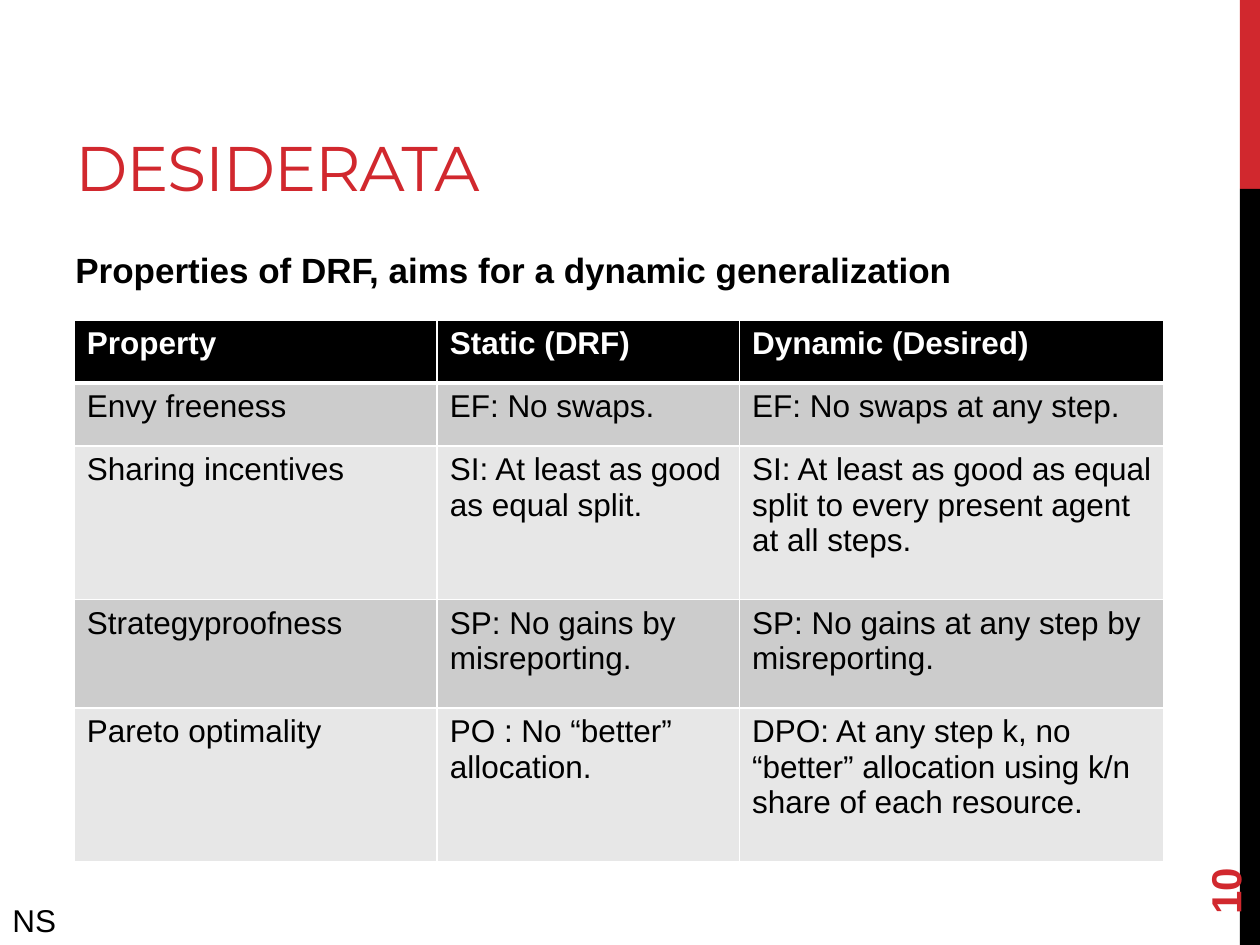
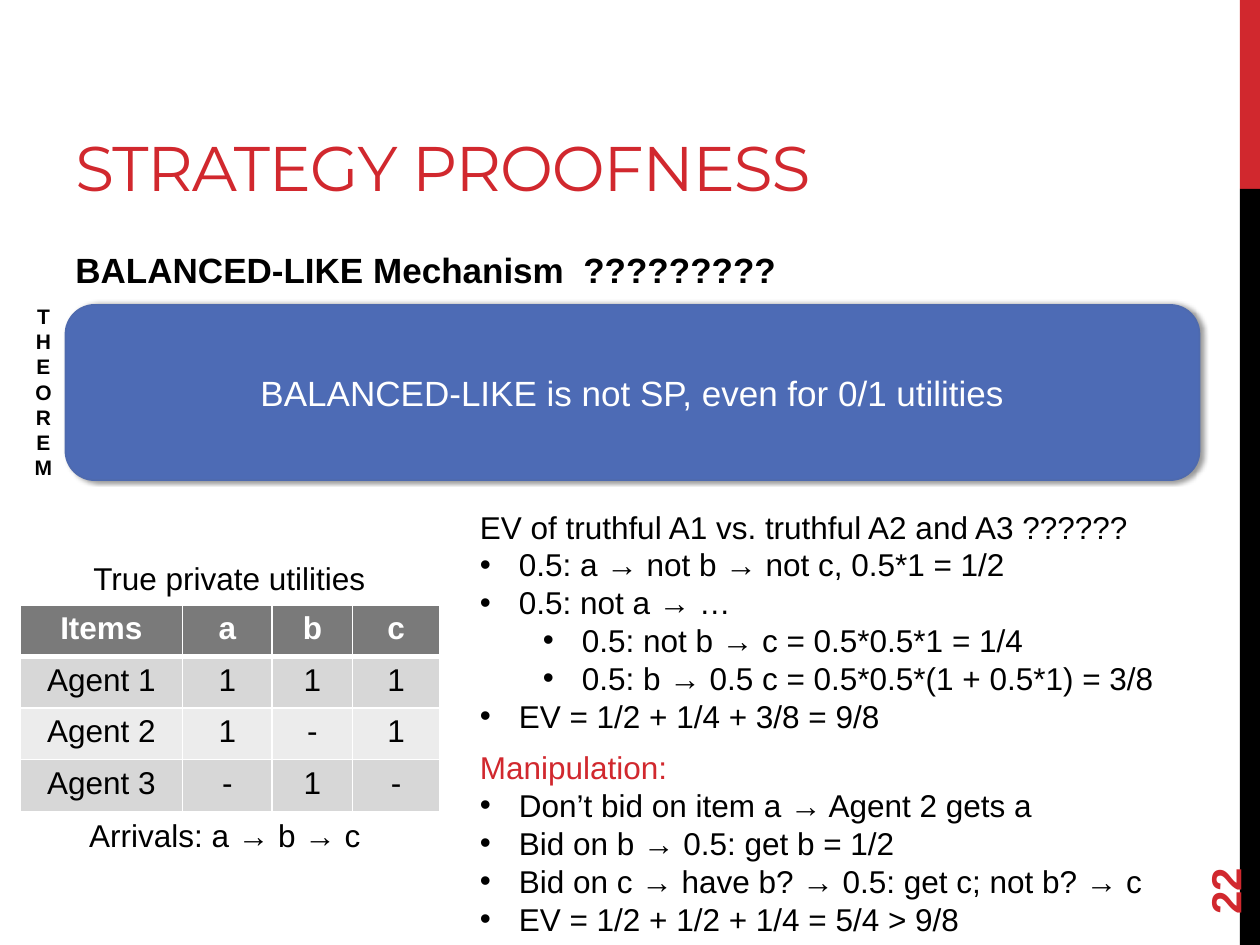
from lxml import etree
from pptx import Presentation
from pptx.dml.color import RGBColor
from pptx.enum import shapes, text
from pptx.oxml import ns
from pptx.util import Inches, Pt

# Shared style
COLOURS = {
    "red": "D1282E", "black": "000000", "white": "FFFFFF",
    "blue": "4D6BB5", "blue line": "4E6AAE",
    "grey head": "7A7A7A",
}
BODY_FONT, TITLE_FONT = "Arial", "Montserrat"
LEFT, CENTER = text.PP_ALIGN.LEFT, text.PP_ALIGN.CENTER
TOP, MIDDLE, BOTTOM = (text.MSO_ANCHOR.TOP, text.MSO_ANCHOR.MIDDLE,
                       text.MSO_ANCHOR.BOTTOM)
BULLET_INDENT, LEVEL_STEP = 0.31, 0.5

# Content: slide 1
PROPERTIES = {
    "at": (0.59, 2.54),
    "columns": [2.88, 2.4, 3.37],
    "row_heights": [0.5, 0.5, 1.22, 0.86, 1.22],
    "fills": ("000000", "CCCCCC", "E7E7E7"),
    "alignment": LEFT,
    "rows": [
        ["Property", "Static (DRF)", "Dynamic (Desired)"],
        ["Envy freeness", "EF: No swaps.", "EF: No swaps at any step."],
        ["Sharing incentives", "SI: At least as good as equal split.",
         "SI: At least as good as equal split to every present agent at all steps."],
        ["Strategyproofness", "SP: No gains by misreporting.",
         "SP: No gains at any step by misreporting."],
        ["Pareto optimality", "PO : No “better” allocation.",
         "DPO: At any step k, no “better” allocation using k/n share of each resource."],
    ],
}

# Content: slide 2
UTILITIES = {
    "at": (0.16, 4.8),
    "columns": [1.29, 0.71, 0.64, 0.69],
    "row_heights": [0.41] * 4,
    "fills": (COLOURS["grey head"], "D7D7D7", "ECECEC"),
    "alignment": CENTER,
    "rows": [
        ["Items", "a", "b", "c"],
        ["Agent 1", "1", "1", "1"],
        ["Agent 2", "1", "-", "1"],
        ["Agent 3", "-", "1", "-"],
    ],
}
THEOREM = "BALANCED-LIKE is not SP, even for 0/1 utilities"
# Each list: heading, heading colour, then (bullet level, wording)
TRUTHFUL = ("EV of truthful A1 vs. truthful A2 and A3 ??????", "black", [
    (0, "0.5: a → not b → not c, 0.5*1 = 1/2"),
    (0, "0.5: not a → …"),
    (1, "0.5: not b → c = 0.5*0.5*1 = 1/4"),
    (1, "0.5: b → 0.5 c = 0.5*0.5*(1 + 0.5*1) = 3/8"),
    (0, "EV = 1/2 + 1/4 + 3/8 = 9/8"),
])
MANIPULATION = ("Manipulation:", "red", [
    (0, "Don’t bid on item a → Agent 2 gets a"),
    (0, "Bid on b → 0.5: get b = 1/2"),
    (0, "Bid on c → have b? → 0.5: get c; not b? → c"),
    (0, "EV = 1/2 + 1/2 + 1/4 = 5/4 > 9/8"),
])


def rgb(name):
    return RGBColor.from_string(COLOURS[name])


def style(paragraph, size=18, colour="black", bold=False, font=BODY_FONT,
          alignment=LEFT):
    paragraph.alignment = alignment
    paragraph.font.size = Pt(size)
    paragraph.font.name = font
    paragraph.font.bold = bold
    paragraph.font.color.rgb = rgb(colour)


def add_text(slide, at, wording, anchor=TOP, **look):
    box = slide.shapes.add_textbox(*map(Inches, at))
    frame = box.text_frame
    frame.word_wrap = True
    frame.vertical_anchor = anchor
    paragraph = frame.paragraphs[0]
    paragraph.text = wording
    style(paragraph, **look)
    return box


def add_bullets(slide, at, heading, colour, items):
    frame = add_text(slide, at, heading, colour=colour).text_frame
    for level, wording in items:
        paragraph = frame.add_paragraph()
        paragraph.text = wording
        paragraph.level = level
        properties = paragraph._p.get_or_add_pPr()
        properties.set("marL", str(Inches(BULLET_INDENT + level * LEVEL_STEP)))
        properties.set("indent", str(-Inches(BULLET_INDENT)))
        etree.SubElement(properties, ns.qn("a:buFont")).set("typeface", BODY_FONT)
        etree.SubElement(properties, ns.qn("a:buChar")).set("char", "•")
        style(paragraph)


def set_borders(cell, row):
    properties = cell._tc.get_or_add_tcPr()
    widths = {"lnL": 1, "lnR": 1, "lnT": 3 if row == 1 else 1,
              "lnB": 3 if row == 0 else 1}
    for side, width in widths.items():
        line = etree.SubElement(properties, ns.qn(f"a:{side}"), w=str(Pt(width)))
        fill = etree.SubElement(line, ns.qn("a:solidFill"))
        etree.SubElement(fill, ns.qn("a:srgbClr"), val=COLOURS["white"])


def add_grid(slide, grid):
    rows, columns, heights = grid["rows"], grid["columns"], grid["row_heights"]
    size = (sum(columns), sum(heights))
    table = slide.shapes.add_table(len(rows), len(columns),
                                   *map(Inches, grid["at"] + size)).table
    for column, width in zip(table.columns, columns):
        column.width = Inches(width)
    head, odd, even = grid["fills"]
    for r, row in enumerate(rows):
        table.rows[r].height = Inches(heights[r])
        fill = head if r == 0 else odd if r % 2 else even
        for c, wording in enumerate(row):
            cell = table.cell(r, c)
            set_borders(cell, r)
            cell.fill.solid()
            cell.fill.fore_color.rgb = RGBColor.from_string(fill)
            paragraph = cell.text_frame.paragraphs[0]
            paragraph.text = wording
            style(paragraph, colour="black" if r else "white", bold=r == 0,
                  alignment=grid["alignment"])


def add_box(slide, kind, at, colour):
    shape = slide.shapes.add_shape(kind, *map(Inches, at))
    shape.shadow.inherit = False
    shape.fill.solid()
    shape.fill.fore_color.rgb = rgb(colour)
    shape.line.fill.background()
    return shape


def add_theorem(slide, wording):
    box = add_box(slide, shapes.MSO_SHAPE.ROUNDED_RECTANGLE,
                  (0.52, 2.42, 9, 1.39), "blue")
    box.line.color.rgb = rgb("blue line")
    box.line.width = Pt(1)
    # Soft shadow to the right
    effects = box._element.spPr.find(ns.qn("a:effectLst"))
    shadow = etree.SubElement(effects, ns.qn("a:outerShdw"), blurRad=str(Pt(3.1)),
                              dist=str(Pt(1.8)), dir="0", rotWithShape="0")
    colour = etree.SubElement(shadow, ns.qn("a:srgbClr"), val=COLOURS["black"])
    etree.SubElement(colour, ns.qn("a:alpha"), val="40000")
    box.text_frame.word_wrap = True
    box.text_frame.vertical_anchor = MIDDLE
    paragraph = box.text_frame.paragraphs[0]
    paragraph.text = wording
    style(paragraph, size=20, colour="white", alignment=CENTER)
    # The narrow box stacks the letters
    add_text(slide, (0.16, 2.36, 0.37, 1.51), "THEOREM", size=12, bold=True,
             alignment=CENTER)


def add_base_slide(presentation, title, subtitle, number):
    slide = presentation.slides.add_slide(presentation.slide_layouts[6])
    for top, height, colour in ((0, 1.5, "red"), (1.5, 6, "black")):
        add_box(slide, shapes.MSO_SHAPE.RECTANGLE, (9.84, top, 0.16, height), colour)
    heading = add_text(slide, (0.5, 0.17, 8.33, 1.5), title, anchor=BOTTOM,
                       size=36, colour="red", font=TITLE_FONT)
    run = heading.text_frame.paragraphs[0].runs[0]
    run._r.get_or_add_rPr().set("spc", "-60")
    add_text(slide, (0.5, 1.92, 8.33, 0.45), subtitle, size=20, bold=True)
    page = add_text(slide, (9, 6.44, 1.44, 0.4), number, anchor=MIDDLE, size=24,
                    colour="red", bold=True)
    page.rotation = 270
    return slide


def main():
    presentation = Presentation()
    presentation.slide_width, presentation.slide_height = Inches(10), Inches(7.5)

    # Slide 1: desired properties
    slide = add_base_slide(presentation, "DESIDERATA",
                           "Properties of DRF, aims for a dynamic generalization", "10")
    add_grid(slide, PROPERTIES)
    add_text(slide, (0, 7.1, 0.56, 0.4), "NS")

    # Slide 2: theorem and counterexample
    slide = add_base_slide(presentation, "STRATEGY PROOFNESS",
                           "BALANCED-LIKE Mechanism  ?????????", "22")
    add_theorem(slide, THEOREM)
    add_grid(slide, UTILITIES)
    for top, caption in ((4.39, "True private utilities"),
                         (6.43, "Arrivals: a → b → c ")):
        add_text(slide, (0.59, top, 2.46, 0.4), caption, alignment=CENTER)
    add_bullets(slide, (3.71, 3.98, 5.59, 1.92), *TRUTHFUL)
    add_bullets(slide, (3.71, 5.89, 5.59, 1.62), *MANIPULATION)

    presentation.save("out.pptx")


if __name__ == "__main__":
    main()
